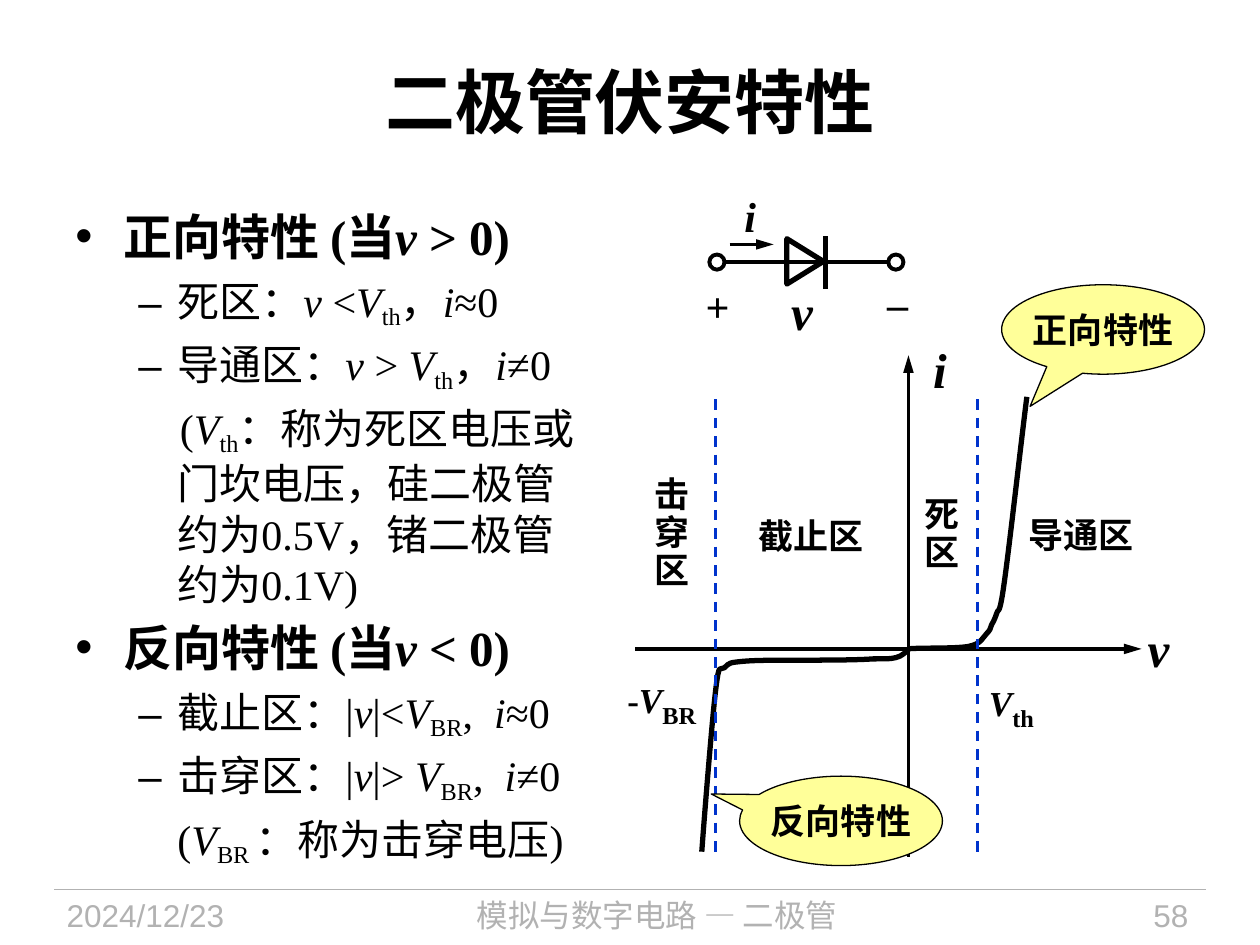
from lxml.etree import SubElement
from pptx import Presentation
from pptx.dml.color import RGBColor
from pptx.enum.dml import MSO_LINE
from pptx.enum.shapes import MSO_CONNECTOR, MSO_SHAPE
from pptx.enum.text import MSO_ANCHOR, PP_ALIGN
from pptx.oxml.ns import qn
from pptx.util import Pt

PX = 9144  # EMU per px, 100 px to the inch
BLACK = RGBColor(0x00, 0x00, 0x00)
GRAY = RGBColor(0xB2, 0xB2, 0xB2)
BLUE = RGBColor(0x00, 0x33, 0xCC)
YELLOW = RGBColor(0xFF, 0xFF, 0x99)
SERIF, SANS, CHINESE = "Times New Roman", "Arial", "Noto Sans CJK SC"
LEFT, CENTER, RIGHT = PP_ALIGN.LEFT, PP_ALIGN.CENTER, PP_ALIGN.RIGHT

# Each span is (text, style): i italic, s subscript
HEADING, BULLET, REMARK, PLAIN = "heading", "bullet", "remark", "plain"
NOTES = [
    (HEADING, [("正向特性 (当", ""), ("v ", "i"), ("> 0)", "")]),
    (BULLET, [("死区：", ""), ("v ", "i"), ("<", ""), ("V", "i"), ("th", "s"),
              ("，", ""), ("i", "i"), ("≈0", "")]),
    (BULLET, [("导通区：", ""), ("v ", "i"), (">", ""), (" V", "i"), ("th", "s"),
              ("，", ""), ("i", "i"), ("≠0", "")]),
    (REMARK, [("(", ""), ("V", "i"), ("th", "s"),
              ("：称为死区电压或门坎电压，硅二极管约为0.5V，锗二极管约为0.1V)", "")]),
    (HEADING, [("反向特性 (当", ""), ("v ", "i"), ("< 0)", "")]),
    (BULLET, [("截止区：|", ""), ("v", "i"), ("|<", ""), ("V", "i"), ("BR", "s"),
              (",  ", ""), ("i", "i"), ("≈0", "")]),
    (BULLET, [("击穿区：|", ""), ("v", "i"), ("|>", ""), (" V", "i"), ("BR", "s"),
              (",  ", ""), ("i", "i"), ("≠0", "")]),
    (PLAIN, [("(", ""), ("V", "i"), ("BR ", "s"), ("：称为击穿电压)", "")]),
]
# Left margin, first-line indent, bullet, text size
LEVELS = {HEADING: (38, -38, "•", 28), BULLET: (81, -31, "–", 24),
          REMARK: (81, 2, None, 24), PLAIN: (81, 0, None, 24)}

# Curves relative to the origin of the axes: start, then three points for each cubic
FORWARD = [(0, 0), (8, -1), (38, 0), (48, -2), (58, -4), (59, -9), (62, -12),
           (65, -15), (65, -16), (66, -19), (67, -21), (68, -22), (70, -28),
           (71, -33), (72, -23), (76, -52), (80, -80), (90, -169), (94, -200)]
REVERSE = [(0, 1), (-2, 2), (-5, 6), (-10, 7), (-15, 8), (-15, 8), (-28, 8),
           (-41, 9), (-70, 9), (-88, 9), (-105, 9), (-122, 9), (-132, 10),
           (-142, 11), (-142, 11), (-146, 15), (-150, 18), (-150, 9), (-153, 33),
           (-156, 58), (-162, 134), (-164, 161)]


def add_spans(para, text, size=20, font=SERIF, color=BLACK, bold=True, sub_size=None, sub=-25):
    """Text is a string or a list of (text, style) spans."""
    for words, style in [(text, "")] if isinstance(text, str) else text:
        span = para.add_run()
        span.text = words
        span.font.name = font
        span.font.size = Pt(sub_size if sub_size and style == "s" else size)
        span.font.bold = bold
        span.font.italic = style == "i"
        span.font.color.rgb = color
        properties = span.font._element
        SubElement(properties, qn("a:ea")).set("typeface", CHINESE)
        if style == "s":
            properties.set("baseline", str(sub * 1000))


def set_frame(frame, wrap=True, anchor=MSO_ANCHOR.TOP, inset=True):
    frame.word_wrap = wrap
    frame.vertical_anchor = anchor
    frame.margin_left = frame.margin_right = 10 * PX if inset else 0
    frame.margin_top = frame.margin_bottom = 5 * PX if inset else 0
    return frame


def put_text(page, box, text, align=LEFT, spacing=None, wrap=True,
             anchor=MSO_ANCHOR.TOP, inset=True, **look):
    shape = page.shapes.add_textbox(*[value * PX for value in box])
    frame = set_frame(shape.text_frame, wrap, anchor, inset)
    lines = text.split("\n") if isinstance(text, str) else [text]
    for number, line in enumerate(lines):
        para = frame.add_paragraph() if number else frame.paragraphs[0]
        para.alignment = align
        if spacing:
            para.line_spacing = spacing
        add_spans(para, line, **look)


def put_line(page, start, end, width=2, color=BLACK, dash=False, arrow=False):
    line = page.shapes.add_connector(
        MSO_CONNECTOR.STRAIGHT, *[value * PX for value in (*start, *end)])
    line.line.color.rgb = color
    line.line.width = Pt(width)
    if dash:
        line.line.dash_style = MSO_LINE.DASH
    properties = line._element.spPr
    if arrow:
        tip = SubElement(properties.find(qn("a:ln")), qn("a:tailEnd"))
        for name, value in (("type", "triangle"), ("w", "med"), ("len", "lg")):
            tip.set(name, value)
    SubElement(properties, qn("a:effectLst"))


def style_shape(shape, width, fill=None):
    shape.shadow.inherit = False
    if fill:
        shape.fill.solid()
        shape.fill.fore_color.rgb = fill
    else:
        shape.fill.background()
    shape.line.color.rgb = BLACK
    shape.line.width = Pt(width)


def put_shape(page, kind, box, width, fill=None):
    shape = page.shapes.add_shape(kind, *[value * PX for value in box])
    style_shape(shape, width, fill)
    return shape


def put_curve(page, origin, curve):
    left, top = origin
    points = [(left + x, top + y) for x, y in curve]
    builder = page.shapes.build_freeform(*points[0], scale=PX)
    builder.add_line_segments(points[1:], close=False)
    shape = builder.convert_to_shape()
    style_shape(shape, 3)
    # Join every three straight segments into one cubic
    segments = list(shape._element.iter(qn("a:lnTo")))
    outline = segments[0].getparent()
    for first in range(0, len(segments), 3):
        cubic = SubElement(outline, qn("a:cubicBezTo"))
        for segment in segments[first:first + 3]:
            cubic.append(segment[0])
            outline.remove(segment)


def put_callout(page, box, text, tip):
    shape = put_shape(page, MSO_SHAPE.OVAL_CALLOUT, box, 0.75, YELLOW)
    shape.adjustments[0], shape.adjustments[1] = tip
    frame = set_frame(shape.text_frame, False, MSO_ANCHOR.MIDDLE, False)
    frame.paragraphs[0].alignment = CENTER
    add_spans(frame.paragraphs[0], text, font=SANS)


def draw_footer(page, left, top, width, height):
    put_line(page, (left, top), (left + width, top), 0.75, GRAY)
    for offset, span_width, text, align, font in (
            (0, 188, "2024/12/23", LEFT, SANS),
            (197, 563, "模拟与数字电路 — 二极管", CENTER, CHINESE),
            (777, 133, "58", RIGHT, SANS)):
        put_text(page, (left + offset, top, span_width, height), text,
                 align=align, size=18, font=font, color=GRAY, bold=False)


def draw_notes(page, box):
    shape = page.shapes.add_textbox(*[value * PX for value in box])
    frame = set_frame(shape.text_frame)
    for number, (kind, spans) in enumerate(NOTES):
        margin, indent, bullet, size = LEVELS[kind]
        para = frame.add_paragraph() if number else frame.paragraphs[0]
        para.level = 0 if kind == HEADING else 1
        para.space_after = Pt(0.2 * size)
        properties = para._p.get_or_add_pPr()
        properties.set("marL", str(margin * PX))
        properties.set("indent", str(indent * PX))
        if bullet:
            SubElement(properties, qn("a:buFont")).set("typeface", SANS)
            SubElement(properties, qn("a:buChar")).set("char", bullet)
        add_spans(para, spans, size=size, bold=kind == HEADING, sub=-20)


def draw_plot(page, left, top):
    """Curve, axes and regions; left and top give the origin of the axes."""
    def label(x, y, width, height, text, **look):
        put_text(page, (left + x, top + y, width, height), text, **look)

    middle = {"anchor": MSO_ANCHOR.MIDDLE, "align": CENTER}
    region = {"font": CHINESE, "spacing": 0.9}
    # Curves, their meeting point and axes
    put_curve(page, (left, top), FORWARD)
    put_line(page, (left, top + 2), (left, top + 2), 3)
    put_curve(page, (left, top), REVERSE)
    put_line(page, (left, top + 165), (left, top - 233), arrow=True)
    put_line(page, (left - 217, top), (left + 185, top), arrow=True)
    label(180, -29, 37, 57, [("v", "i")], size=28, wrap=False, **middle)
    label(3, -251, 44, 57, [("i", "i")], size=28, **middle)
    # Region borders and names
    for offset in (-153, 55):
        put_line(page, (left + offset, top - 198), (left + offset, top + 164), 1.5, BLUE, dash=True)
    label(3, -125, 47, 70, "死\n区", anchor=MSO_ANCHOR.MIDDLE, **region)
    label(-134, -108, 114, 40, "截止区", align=CENTER, **region)
    label(72, -109, 130, 40, "导通区", **middle, **region)
    label(-217, -141, 59, 100, "击穿区", **middle, **region)
    # Callouts
    put_callout(page, (left + 74, top - 289, 161, 71), "正向特性", (-0.36, 0.86))
    put_callout(page, (left - 134, top + 101, 161, 71), "反向特性", (-0.64, -0.3))
    # Voltage marks
    label(54, 2, 59, 49, [("V", "i"), ("th", "s")], sub_size=24, spacing=1.3, wrap=False)
    label(-233, 4, 79, 47, [("-", ""), ("V", "i"), ("BR", "s")],
          sub_size=24, spacing=1.2, wrap=False)


def draw_diode(page, left, top):
    """Diode symbol; left is its left end, top the height of the wire."""
    put_line(page, (left + 92, top + 21), (left + 92, top - 21), 3)
    body = put_shape(page, MSO_SHAPE.ISOSCELES_TRIANGLE, (left + 58, top - 15, 36, 29), 3)
    body.rotation = 90
    put_line(page, (left + 12, top), (left + 142, top), 2.25)
    for offset in (0, 142):
        put_shape(page, MSO_SHAPE.OVAL, (left + offset, top - 6, 12, 12), 2.25)
    # Polarity, voltage and current
    put_text(page, (left - 3, top + 15, 19, 40), "+", size=24, wrap=False, inset=False)
    put_text(page, (left + 141, top + 12, 17, 40), "–", size=24, wrap=False, inset=False)
    put_text(page, (left + 55, top + 10, 37, 57), [("v", "i")], size=28,
             align=CENTER, anchor=MSO_ANCHOR.MIDDLE, wrap=False)
    put_text(page, (left + 18, top - 62, 29, 50), [("i", "i")], size=24, wrap=False)
    put_line(page, (left + 16, top - 14), (left + 51, top - 14), 1.5, arrow=True)


def main():
    deck = Presentation()
    deck.slide_width, deck.slide_height = 1000 * PX, 750 * PX
    page = deck.slides.add_slide(deck.slide_layouts[6])
    draw_footer(page, 43, 706, 914, 44)
    put_text(page, (50, 17, 900, 125), "二极管伏安特性", size=40,
             align=CENTER, anchor=MSO_ANCHOR.MIDDLE)
    draw_plot(page, 721, 515)
    draw_diode(page, 563, 208)
    draw_notes(page, (50, 159, 430, 539))
    deck.save("out.pptx")


if __name__ == "__main__":
    main()
